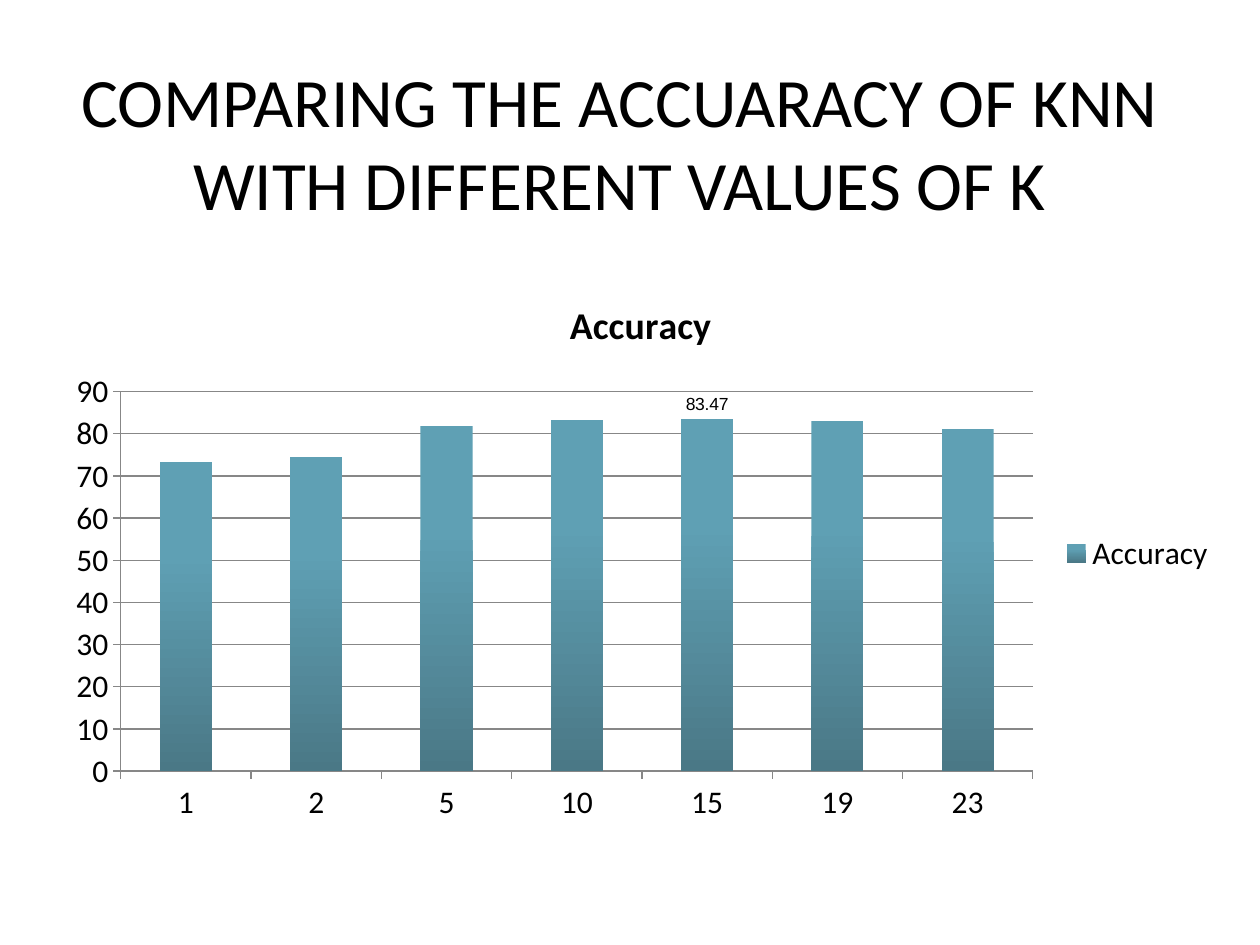
from pptx import Presentation
from pptx.chart.data import CategoryChartData
from pptx.dml.color import RGBColor
from pptx.enum.chart import XL_CHART_TYPE, XL_LABEL_POSITION, XL_LEGEND_POSITION, XL_TICK_MARK
from pptx.enum.text import MSO_ANCHOR, PP_ALIGN
from pptx.util import Inches, Pt

SCORES = {"1": 73.25, "2": 74.47, "5": 81.75, "10": 83.2,
          "15": 83.47, "19": 83.1, "23": 81.2}


def paint(target, color):
    """Set a colour object from a hex string."""
    target.rgb = RGBColor.from_string(color)


def style(font, size=18, name="Calibri", color="000000", bold=False):
    """Apply a text format to a font."""
    font.size, font.name, font.bold = Pt(size), name, bold
    paint(font.color, color)


def write(frame, text, align=PP_ALIGN.CENTER, **kwargs):
    """Put one formatted paragraph in a text frame."""
    line = frame.paragraphs[0]
    line.alignment = align
    run = line.add_run()
    run.text = text
    style(run.font, **kwargs)


def add_title(slide, text):
    """Add the slide heading."""
    frame = slide.shapes.add_textbox(
        Inches(0.42), Inches(0.83), Inches(9), Inches(0.58)).text_frame
    frame.word_wrap = True
    frame.vertical_anchor = MSO_ANCHOR.MIDDLE
    frame.margin_left = frame.margin_right = 0
    frame.margin_top = frame.margin_bottom = 0
    write(frame, text, size=39.6)


def style_axis(axis, color="878787"):
    """Format an axis line, its ticks and its labels."""
    axis.major_tick_mark = XL_TICK_MARK.OUTSIDE
    axis.minor_tick_mark = XL_TICK_MARK.NONE
    axis.format.line.width = Pt(0.75)
    paint(axis.format.line.color, color)
    style(axis.tick_labels.font)


def shade(fill, top, bottom):
    """Fill with a vertical gradient."""
    fill.gradient()
    fill.gradient_angle = 270
    for stop, color, place in zip(fill.gradient_stops, (top, bottom), (0.3, 1)):
        paint(stop.color, color)
        stop.position = place


def add_bars(slide, name, scores, marked):
    """Add the column chart with a label on the marked category."""
    data = CategoryChartData()
    data.categories = list(scores)
    data.add_series(name, list(scores.values()))
    chart = slide.shapes.add_chart(
        XL_CHART_TYPE.COLUMN_CLUSTERED, Inches(0.42), Inches(2.17),
        Inches(9.33), Inches(4.44), data).chart
    style(chart.font)
    chart.has_title = True
    write(chart.chart_title.text_frame, name, size=21.6, bold=True)
    chart.has_legend = True
    chart.legend.position = XL_LEGEND_POSITION.RIGHT
    chart.legend.include_in_layout = False
    style(chart.legend.font)

    style_axis(chart.category_axis)
    scale = chart.value_axis
    style_axis(scale)
    scale.minimum_scale, scale.maximum_scale, scale.major_unit = 0, 90, 10
    scale.has_major_gridlines = True
    grid = scale.major_gridlines.format.line
    grid.width = Pt(0.75)
    paint(grid.color, "878787")

    plot = chart.plots[0]
    plot.gap_width = 150
    plot.vary_by_categories = False
    series = plot.series[0]
    shade(series.format.fill, "5FA0B4", "4A7886")
    series.data_labels.show_value = False
    label = series.points[list(scores).index(marked)].data_label
    style(label.font, size=10, name="Arial")
    label.position = XL_LABEL_POSITION.OUTSIDE_END


def main():
    """Build and save the slide."""
    deck = Presentation()
    deck.slide_width, deck.slide_height = Inches(10), Inches(7.5)
    slide = deck.slides.add_slide(deck.slide_layouts[6])
    add_title(slide, "COMPARING THE ACCUARACY OF KNN WITH DIFFERENT VALUES OF K")
    add_bars(slide, "Accuracy", SCORES, "15")
    deck.save("out.pptx")


if __name__ == "__main__":
    main()
